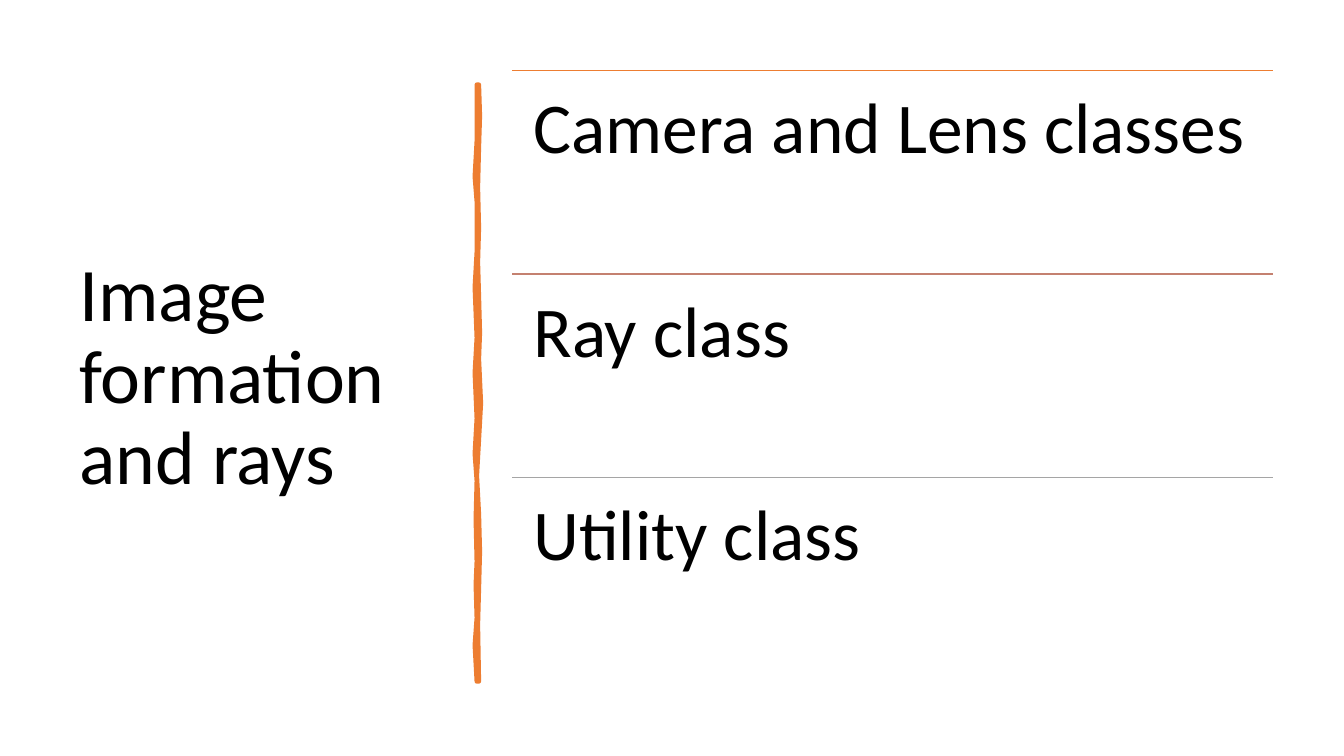
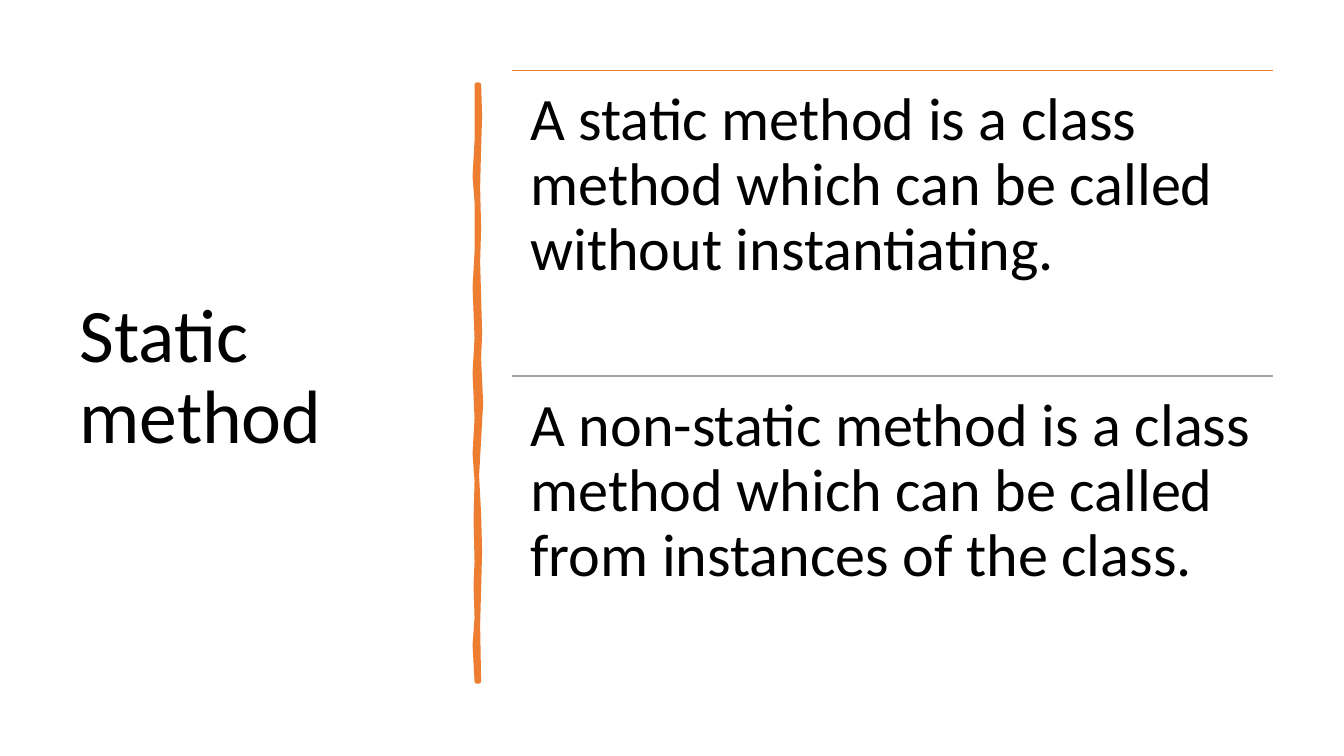
from lxml import etree
from pptx import Presentation
from pptx.dml.color import RGBColor
from pptx.enum.shapes import MSO_CONNECTOR as Connector
from pptx.enum.text import MSO_ANCHOR as Anchor
from pptx.oxml.ns import qn
from pptx.util import Emu, Pt

ORANGE = RGBColor(0xED, 0x7D, 0x31)
ROSE = RGBColor(0xC4, 0x81, 0x70)
GREY = RGBColor(0xA5, 0xA5, 0xA5)
BLACK = RGBColor(0, 0, 0)
FONT = "Calibri"

PX = 9144
PAGE_SIZE = (1333, 750)
TITLE_BOX = (69, 70, 374, 611)
TITLE_SIZE = 54
LIST_BOX = (508, 70, 755, 606)

STROKE_RIGHT = [
    (475, 84), (476, 115), (475, 146), (474, 186), (475, 226), (474, 260),
    (475, 294), (476, 330), (475, 356), (477, 400), (475, 436), (473, 472),
    (475, 510), (476, 547), (475, 584), (474, 620), (475, 676),
]
STROKE_LEFT = [
    (473, 676), (471, 640), (473, 613), (472, 580), (473, 557), (472, 515),
    (473, 477), (471, 450), (473, 415), (471, 370), (473, 335), (471, 285),
    (473, 250), (473, 200), (471, 175), (473, 140), (473, 84),
]

SLIDES = [
    {
        "title": "Image formation and rays",
        "size": 51,
        "inset": 21,
        "rows": [
            ("Camera and Lens classes", ORANGE),
            ("Ray class", ROSE),
            ("Utility class", GREY),
        ],
    },
    {
        "title": "Static method",
        "size": 43,
        "inset": 18,
        "rows": [
            ("A static method is a class method which can be called without instantiating.", ORANGE),
            ("A non-static method is a class method which can be called from instances of the class.", GREY),
        ],
    },
]


def px(*lengths):
    return [Emu(length * PX) for length in lengths]


def add_text(page, text, area, size, anchor=Anchor.TOP, inset=None):
    frame = page.shapes.add_textbox(*px(*area)).text_frame
    frame.word_wrap = True
    frame.vertical_anchor = anchor
    if inset is not None:
        margin = Emu(inset * PX)
        frame.margin_left = frame.margin_right = margin
        frame.margin_top = frame.margin_bottom = margin
    para = frame.paragraphs[0]
    para.line_spacing = 0.9
    span = para.add_run()
    span.text = text
    span.font.name = FONT
    span.font.size = Pt(size)
    span.font.color.rgb = BLACK


def add_brush_stroke(page):
    start, *rest = STROKE_RIGHT + STROKE_LEFT
    builder = page.shapes.build_freeform(*start, scale=PX)
    builder.add_line_segments(rest, close=True)
    stroke = builder.convert_to_shape()
    stroke.shadow.inherit = False
    stroke.fill.solid()
    stroke.fill.fore_color.rgb = ORANGE
    stroke.line.color.rgb = ORANGE
    stroke.line.width = Pt(3.25)
    etree.SubElement(stroke.line._get_or_add_ln(), qn("a:round"))


def add_rule(page, left, top, width, color):
    rule = page.shapes.add_connector(Connector.STRAIGHT, *px(left, top, left + width, top))
    rule.line.color.rgb = color
    rule.line.width = Pt(1)
    etree.SubElement(rule._element.spPr, qn("a:effectLst"))


def add_rows(page, rows, size, inset):
    left, top, width, height = LIST_BOX
    row_height = height // len(rows)
    for index, (text, color) in enumerate(rows):
        row_top = top + index * row_height
        add_rule(page, left, row_top, width, color)
        add_text(page, text, (left, row_top, width, row_height), size, inset=inset)


def main():
    deck = Presentation()
    deck.slide_width, deck.slide_height = px(*PAGE_SIZE)
    for content in SLIDES:
        page = deck.slides.add_slide(deck.slide_layouts[6])
        add_text(page, content["title"], TITLE_BOX, TITLE_SIZE, anchor=Anchor.MIDDLE)
        add_brush_stroke(page)
        add_rows(page, content["rows"], content["size"], content["inset"])
    deck.save("out.pptx")


if __name__ == "__main__":
    main()
